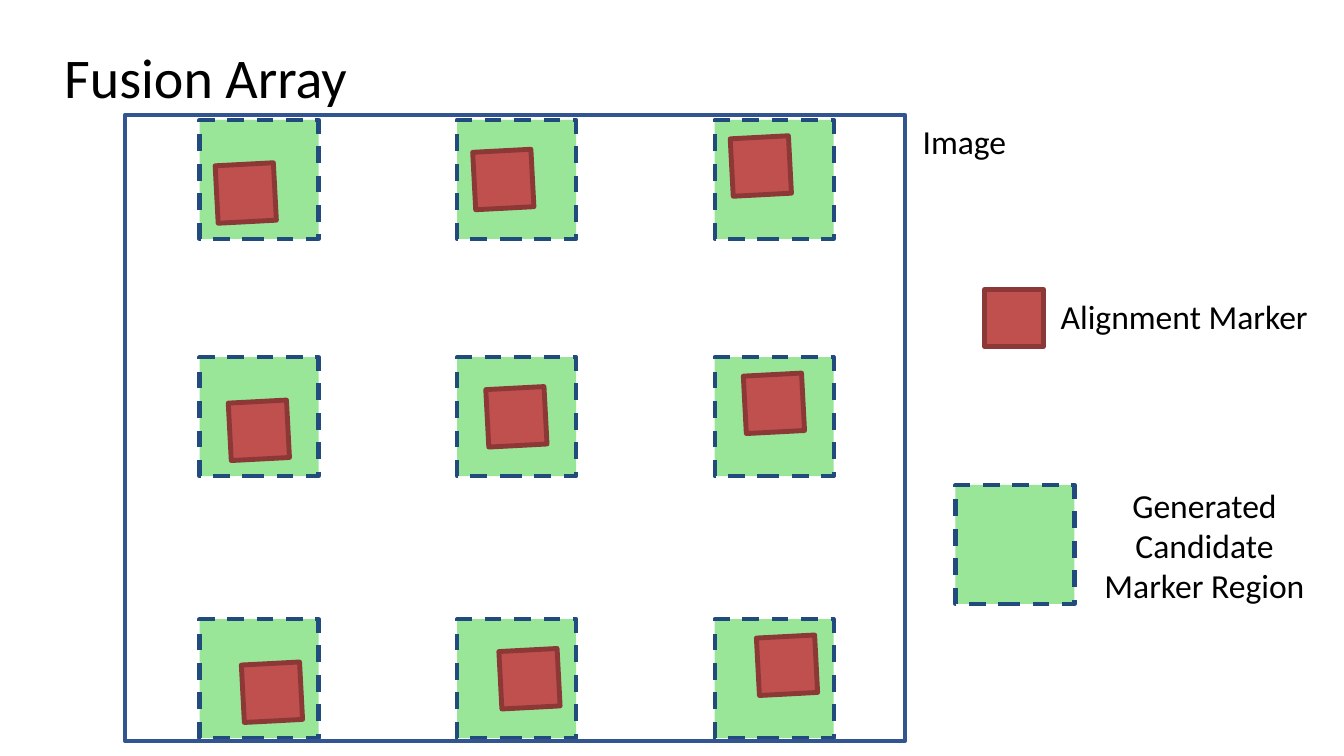
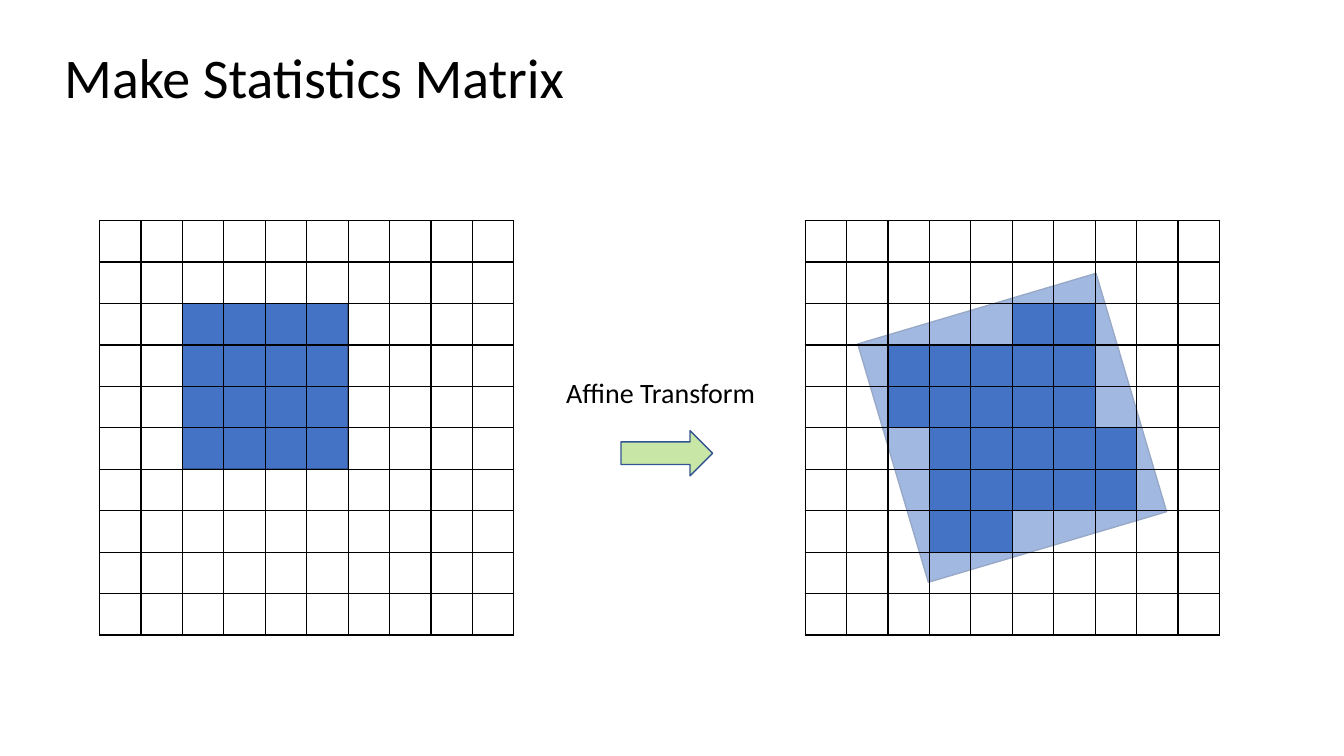
from lxml import etree
from pptx import Presentation
from pptx.dml.color import RGBColor
from pptx.enum.dml import MSO_LINE
from pptx.enum.shapes import MSO_SHAPE
from pptx.enum.text import MSO_AUTO_SIZE, PP_ALIGN
from pptx.oxml.ns import qn
from pptx.util import Cm, Pt

RECT, ARROW = MSO_SHAPE.RECTANGLE, MSO_SHAPE.RIGHT_ARROW
DASH = MSO_LINE.DASH
LEFT, CENTER = PP_ALIGN.LEFT, PP_ALIGN.CENTER
GROW = MSO_AUTO_SIZE.SHAPE_TO_FIT_TEXT

FONT = "Calibri"
BLACK = RGBColor(0x00, 0x00, 0x00)
WHITE = RGBColor(0xFF, 0xFF, 0xFF)
MINT = RGBColor(0x99, 0xE6, 0x99)
NAVY = RGBColor(0x22, 0x4B, 0x7D)
RED = RGBColor(0xC0, 0x50, 0x4D)
MAROON = RGBColor(0x8C, 0x38, 0x36)
BLUE = RGBColor(0x44, 0x72, 0xC4)
EDGE = RGBColor(0x32, 0x54, 0x91)
LIME = RGBColor(0x92, 0xD0, 0x50)

REGION = 3.0            # side of a candidate region, cm
MARK_W, MARK_H = 1.47, 1.45
COUNT = 10              # cells along each side of a matrix
SIDE = 10.44            # side of a matrix, cm
CELL = SIDE / COUNT

# Cells that the turned square covers only in part
PARTIAL = (
    "..........",
    "....xxxx..",
    ".xxxx..x..",
    ".x.....x..",
    ".x.....xx.",
    ".xx.....x.",
    "..x.....x.",
    "..x..xxxx.",
    "..xxxx....",
    "..........",
)


# Shared parts
def place(box):
    return [Cm(v) for v in box]


def fade(props):
    """Make a solid fill half transparent."""
    color = props.find(qn("a:solidFill"))[0]
    etree.SubElement(color, qn("a:alpha")).set("val", "50000")


def draw(shapes, kind, box, fill, line, width, dash=None, turn=0):
    shape = shapes.add_shape(kind, *place(box))
    shape.shadow.inherit = False
    if fill is None:
        shape.fill.background()
    else:
        shape.fill.solid()
        shape.fill.fore_color.rgb = fill
    shape.line.color.rgb = line
    shape.line.width = Pt(width)
    if dash is not None:
        shape.line.dash_style = dash
    shape.rotation = turn
    return shape


def write(slide, box, text, size, align=CENTER):
    frame = slide.shapes.add_textbox(*place(box)).text_frame
    frame.word_wrap = True
    frame.auto_size = GROW
    para = frame.paragraphs[0]
    para.alignment = align
    run = para.add_run()
    run.text = text
    run.font.name = FONT
    run.font.size = Pt(size)
    run.font.color.rgb = BLACK


def start(deck, title):
    slide = deck.slides.add_slide(deck.slide_layouts[6])
    write(slide, (1.37, 0.94, 15.95, 1.96), title, 40, LEFT)
    return slide


# Fusion array
def region(shapes, x, y):
    draw(shapes, RECT, (x, y, REGION, REGION), MINT, NAVY, 3, DASH)


def marker(shapes, x, y, turn=0):
    draw(shapes, RECT, (x, y, MARK_W, MARK_H), RED, MAROON, 3.5, turn=turn)


def array(slide, box):
    x, y, w, h = box
    shapes = slide.shapes.add_group_shape().shapes
    spots = [(row, col, x + 1.88 + 6.49 * col, y + top)
             for row, top in enumerate((0.12, 6.1, 12.7))
             for col in range(3)]
    for row, col, left, top in spots:
        region(shapes, left, top)
    draw(shapes, RECT, box, None, EDGE, 3)
    # Markers drift right by row and up by column
    for row, col, left, top in spots:
        marker(shapes, left + 0.43 + 0.33 * row, top + 1.12 - 0.34 * col, 357)
    write(slide, (x + w + 0.1, y + 0.02, 2.79, 1.27), "Image", 24)


def legend(slide, x, y):
    marker(slide.shapes, x + 0.74, y)
    write(slide, (x + 2.36, y + 0.03, 6.81, 1.27), "Alignment Marker", 24)
    region(slide.shapes, x, y + 4.93)
    write(slide, (x + REGION, y + 4.8, 6.55, 3.33),
          "Generated Candidate Marker Region", 24)


# Statistics matrix
def border(props):
    for spot, side in enumerate(("lnL", "lnR", "lnT", "lnB")):
        line = etree.Element(qn("a:" + side), w=str(Pt(1)))
        fill = etree.SubElement(line, qn("a:solidFill"))
        etree.SubElement(fill, qn("a:srgbClr")).set("val", str(BLACK))
        props.insert(spot, line)


def matrix(slide, x, y, span, turn=0, veil=None):
    # The square starts two cells in and spans whole cells before it turns
    draw(slide.shapes, RECT,
         (x + 2 * CELL, y + 2 * CELL, span * CELL, span * CELL),
         BLUE, EDGE, 1, turn=turn)
    table = slide.shapes.add_table(
        COUNT, COUNT, *place((x, y, SIDE, SIDE))).table
    table.first_row = False
    table.horz_banding = False
    for i in range(COUNT):
        table.columns[i].width = table.rows[i].height = Cm(CELL)
        for j in range(COUNT):
            cell = table.cell(i, j)
            cell.margin_top = cell.margin_bottom = Cm(0)
            props = cell._tc.get_or_add_tcPr()
            if veil and veil[i][j] == "x":
                cell.fill.solid()
                cell.fill.fore_color.rgb = WHITE
                fade(props)
            else:
                cell.fill.background()
            border(props)


def step(slide, x, y):
    arrow = draw(slide.shapes, ARROW, (x + 1.78, y + 1.5, 2.31, 1.14),
                 LIME, EDGE, 1)
    fade(arrow._element.spPr)
    write(slide, (x, y, 5.56, 1.12), "Affine Transform", 20)


deck = Presentation()
deck.slide_width, deck.slide_height = Cm(33.87), Cm(19.05)

fusion = start(deck, "Fusion Array")
array(fusion, (3.15, 2.9, 19.66, 15.77))
legend(fusion, 24.08, 7.29)

stats = start(deck, "Make Statistics Matrix")
matrix(stats, 20.29, 5.56, 6, 343.5, PARTIAL)
matrix(stats, 2.51, 5.56, 4)
step(stats, 13.87, 9.35)

deck.save("out.pptx")
